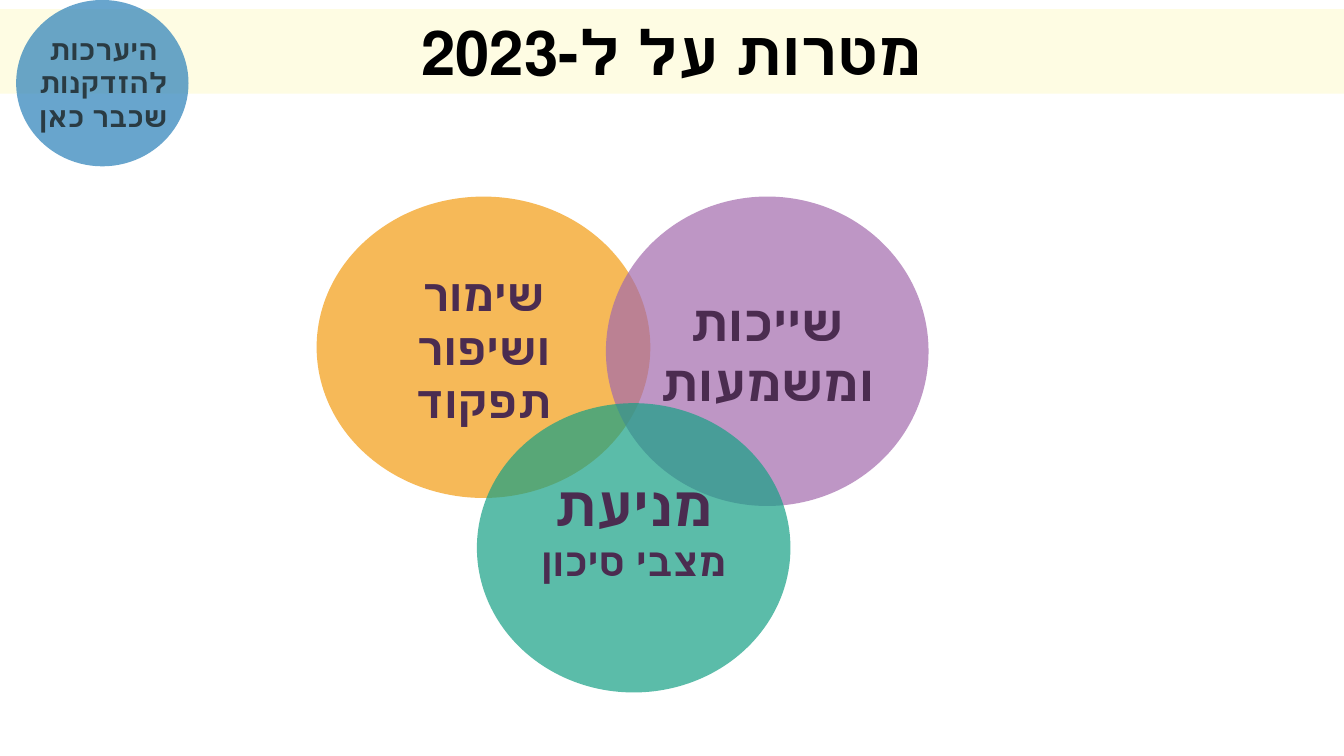
from pptx import Presentation
from pptx.dml.color import RGBColor
from pptx.enum.shapes import MSO_SHAPE
from pptx.enum.text import MSO_ANCHOR, PP_ALIGN
from pptx.oxml.ns import qn
from pptx.util import Inches, Pt
from lxml import etree

RECTANGLE, ELLIPSE = MSO_SHAPE.RECTANGLE, MSO_SHAPE.OVAL
TOP, MIDDLE = MSO_ANCHOR.TOP, MSO_ANCHOR.MIDDLE
CENTER = PP_ALIGN.CENTER

CREAM = RGBColor(0xFE, 0xFC, 0xE3)
ORANGE = RGBColor(0xF3, 0x9C, 0x12)
PURPLE = RGBColor(0xA3, 0x6A, 0xAD)
TEAL = RGBColor(0x16, 0xA0, 0x85)
BLUE = RGBColor(0x29, 0x80, 0xB9)
BLACK = RGBColor(0x00, 0x00, 0x00)
PLUM = RGBColor(0x4B, 0x2C, 0x50)
SLATE = RGBColor(0x2A, 0x3B, 0x43)

FONT = "Calibri"
SLIDE_WIDTH, SLIDE_HEIGHT = 13.33, 7.5
CIRCLE_INSETS = (0, 0.04, 0, 0.04)
TEXT_INSETS = (0.1, 0.05, 0.1, 0.05)

GOALS = [
    ((3.14, 1.95, 3.31, 2.99), ORANGE, [("שימור ושיפור תפקוד", 32)], True, CIRCLE_INSETS),
    ((6.01, 1.95, 3.2, 3.07), PURPLE, [("שייכות ומשמעות", 36)], False, CIRCLE_INSETS),
    ((4.73, 4, 3.11, 2.87), TEAL, [("מניעת", 40), ("מצבי סיכון", 28)], False,
     (0, 0.04, 0, 0.44)),
]


def add_filled_shape(page, kind, box, color, opacity=100):
    shape = page.shapes.add_shape(kind, *map(Inches, box))
    shape.shadow.inherit = False
    shape.line.fill.background()
    shape.fill.solid()
    shape.fill.fore_color.rgb = color
    if opacity < 100:
        fill_color = shape.fill._xPr.find(qn("a:solidFill"))[0]
        etree.SubElement(fill_color, qn("a:alpha")).set("val", str(opacity * 1000))
    return shape


def write_text(shape, lines, color, anchor=TOP, rtl=False, insets=TEXT_INSETS):
    frame = shape.text_frame
    frame.word_wrap = True
    frame.vertical_anchor = anchor
    for side, inset in zip(("left", "top", "right", "bottom"), insets):
        setattr(frame, f"margin_{side}", Inches(inset))
    for index, (text, size) in enumerate(lines):
        para = frame.add_paragraph() if index else frame.paragraphs[0]
        para.alignment = CENTER
        if rtl:
            para._p.get_or_add_pPr().set("rtl", "1")
        span = para.add_run()
        span.text = text
        for name, value in {"name": FONT, "size": Pt(size), "bold": True}.items():
            setattr(span.font, name, value)
        span.font.color.rgb = color


def add_title_band(page, box):
    band = add_filled_shape(page, RECTANGLE, box, CREAM)
    write_text(band, [("מטרות על ל-2023", 44)], BLACK)


def add_goal_circles(page, goals):
    for box, color, lines, rtl, insets in goals:
        circle = add_filled_shape(page, ELLIPSE, box, color, 70)
        write_text(circle, lines, PLUM, MIDDLE, rtl, insets)


def add_badge(page, box):
    left, top, width, height = box
    add_filled_shape(page, ELLIPSE, box, BLUE, 70)
    label_box = (left - 0.05, top + 0.27, width + 0.12, height - 0.54)
    label = page.shapes.add_textbox(*map(Inches, label_box))
    write_text(label, [("היערכות להזדקנות", 20), ("שכבר כאן", 20)], SLATE, rtl=True)


def main():
    deck = Presentation()
    deck.slide_width, deck.slide_height = Inches(SLIDE_WIDTH), Inches(SLIDE_HEIGHT)
    page = deck.slides.add_slide(deck.slide_layouts[6])
    add_title_band(page, (0, 0.09, SLIDE_WIDTH, 0.84))
    add_goal_circles(page, GOALS)
    add_badge(page, (0.16, 0, 1.71, 1.65))
    deck.save("out.pptx")


if __name__ == "__main__":
    main()
